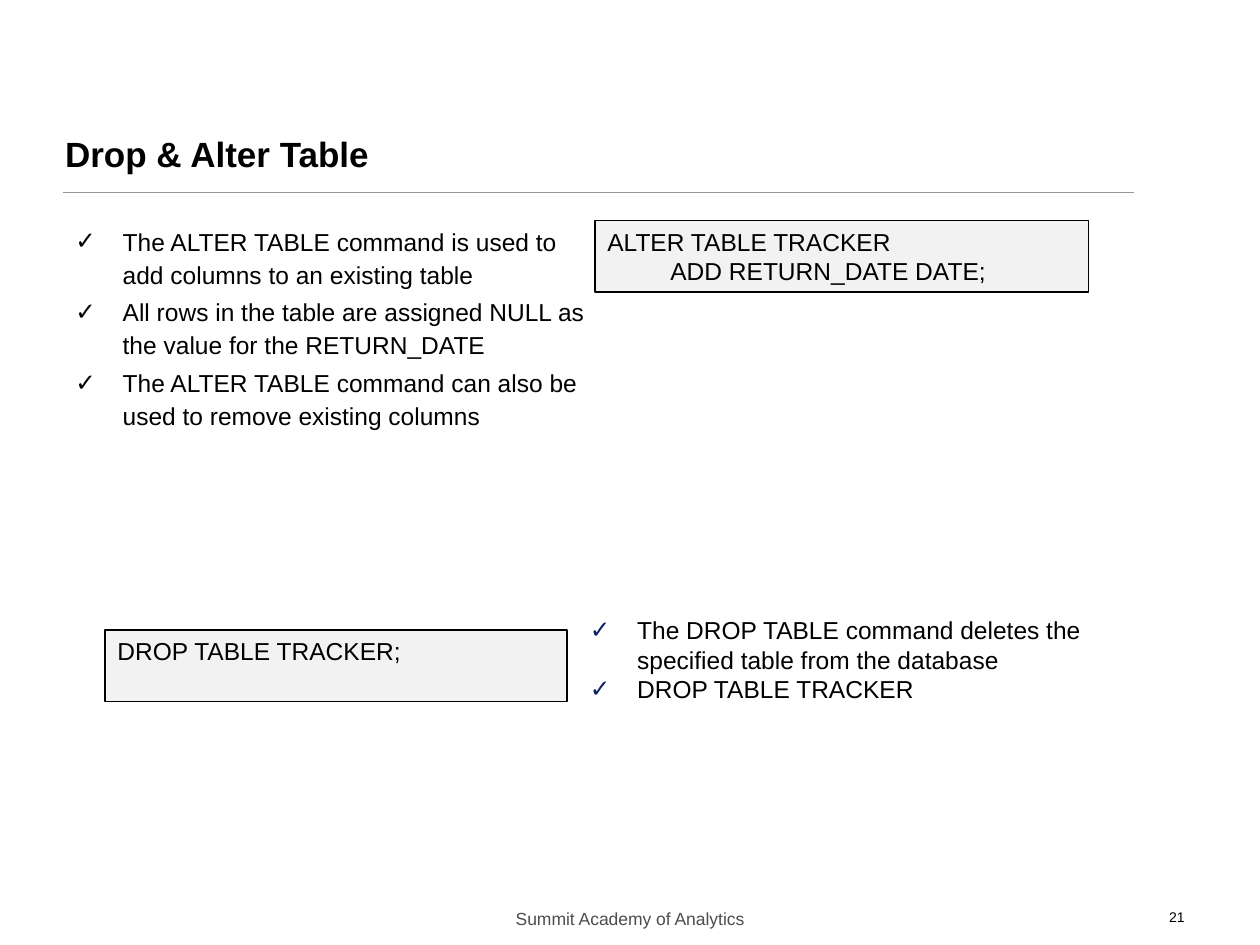
import pptx
import pptx.util
import pptx.dml.color
import pptx.enum.shapes
import pptx.enum.text
import pptx.oxml.ns
from dataclasses import dataclass
from lxml import etree

Pt = pptx.util.Pt
ALIGN = pptx.enum.text.PP_ALIGN
ANCHOR = pptx.enum.text.MSO_ANCHOR


@dataclass(frozen=True)
class Theme:
    font: str = "Arial"
    ink: str = "000000"
    rule: str = "969696"
    panel: str = "F2F2F2"
    check: str = "0B1F65"
    footer: str = "4D4D4D"
    title_size: float = 20
    body_size: float = 14
    footer_size: float = 10
    number_size: float = 8
    line_width: float = 0.75
    indent: float = 27


THEME = Theme()

# Content; boxes are left, top, width, height in points
TITLE = ("Drop & Alter Table", (30, 65, 558, 45))
RULE = (36, 110.2, 612)  # left, top, width
BULLETS = [
    dict(box=(36, 124, 306, 128), check=THEME.ink, line_spacing=1.12, space_before=2.8,
         items=["The ALTER TABLE command is used to add columns to an existing table",
                "All rows in the table are assigned NULL as the value for the RETURN_DATE",
                "The ALTER TABLE command can also be used to remove existing columns"]),
    dict(box=(330, 348, 318, 75), check=THEME.check, line_spacing=None, space_before=0,
         items=["The DROP TABLE command deletes the specified table from the database",
                "DROP TABLE TRACKER"]),
]
STATEMENTS = [
    ("ALTER TABLE TRACKER \v\tADD RETURN_DATE DATE;", (340, 126, 282, 41)),
    ("DROP TABLE TRACKER;", (60, 360, 264, 41)),
]
FOOTERS = [
    ("21", (516, 515.5, 168, 18), ALIGN.RIGHT, THEME.number_size, THEME.ink),
    ("Summit Academy of Analytics", (246, 515.5, 228, 18), ALIGN.CENTER,
     THEME.footer_size, THEME.footer),
]


def rgb(value):
    return pptx.dml.color.RGBColor.from_string(value)


def style(paragraph, size=THEME.body_size, color=THEME.ink, align=ALIGN.LEFT, bold=False):
    paragraph.alignment = align
    font = paragraph.font
    font.name, font.size, font.bold = THEME.font, Pt(size), bold
    font.color.rgb = rgb(color)


def add_check(paragraph, color):
    properties = paragraph._p.get_or_add_pPr()
    properties.set("marL", str(Pt(THEME.indent)))
    properties.set("indent", str(-Pt(THEME.indent)))
    qn = pptx.oxml.ns.qn
    bullet_color = etree.SubElement(properties, qn("a:buClr"))
    etree.SubElement(bullet_color, qn("a:srgbClr"), val=color)
    etree.SubElement(properties, qn("a:buFont"), typeface=THEME.font)
    etree.SubElement(properties, qn("a:buChar"), char="✓")


def add_text_frame(slide, box):
    frame = slide.shapes.add_textbox(*map(Pt, box)).text_frame
    frame.word_wrap = True
    return frame


def add_bullets(slide, box, check, line_spacing, space_before, items):
    frame = add_text_frame(slide, box)
    for index, item in enumerate(items):
        paragraph = frame.add_paragraph() if index else frame.paragraphs[0]
        paragraph.text = item
        paragraph.line_spacing = line_spacing
        paragraph.space_before = Pt(space_before)
        add_check(paragraph, check)
        style(paragraph)


def add_statement(slide, code, box):
    panel = slide.shapes.add_shape(pptx.enum.shapes.MSO_SHAPE.RECTANGLE, *map(Pt, box))
    panel.shadow.inherit = False
    panel.fill.solid()
    panel.fill.fore_color.rgb = rgb(THEME.panel)
    panel.line.color.rgb = rgb(THEME.ink)
    panel.line.width = Pt(THEME.line_width)
    frame = panel.text_frame
    frame.word_wrap = True
    frame.vertical_anchor = ANCHOR.TOP
    frame.paragraphs[0].text = code
    style(frame.paragraphs[0])


def add_rule(slide, left, top, width):
    rule = slide.shapes.add_connector(pptx.enum.shapes.MSO_CONNECTOR.STRAIGHT,
                                      Pt(left), Pt(top), Pt(left + width), Pt(top))
    rule.line.color.rgb = rgb(THEME.rule)
    rule.line.width = Pt(THEME.line_width)
    etree.SubElement(rule._element.spPr, pptx.oxml.ns.qn("a:effectLst"))


def set_title(slide, text, box):
    title = slide.shapes.title
    title.left, title.top, title.width, title.height = map(Pt, box)
    frame = title.text_frame
    frame.auto_size = pptx.enum.text.MSO_AUTO_SIZE.NONE
    frame.vertical_anchor = ANCHOR.MIDDLE
    frame.text = text
    style(frame.paragraphs[0], THEME.title_size, bold=True)


def main():
    presentation = pptx.Presentation()
    presentation.slide_width, presentation.slide_height = Pt(720), Pt(540)
    slide = presentation.slides.add_slide(presentation.slide_layouts[5])

    # Heading
    set_title(slide, *TITLE)
    add_rule(slide, *RULE)

    # Explanations and SQL statements
    for group in BULLETS:
        add_bullets(slide, **group)
    for code, box in STATEMENTS:
        add_statement(slide, code, box)

    # Footer and page number
    for text, box, align, size, color in FOOTERS:
        paragraph = add_text_frame(slide, box).paragraphs[0]
        paragraph.text = text
        style(paragraph, size, color, align)

    presentation.save("out.pptx")


if __name__ == "__main__":
    main()
